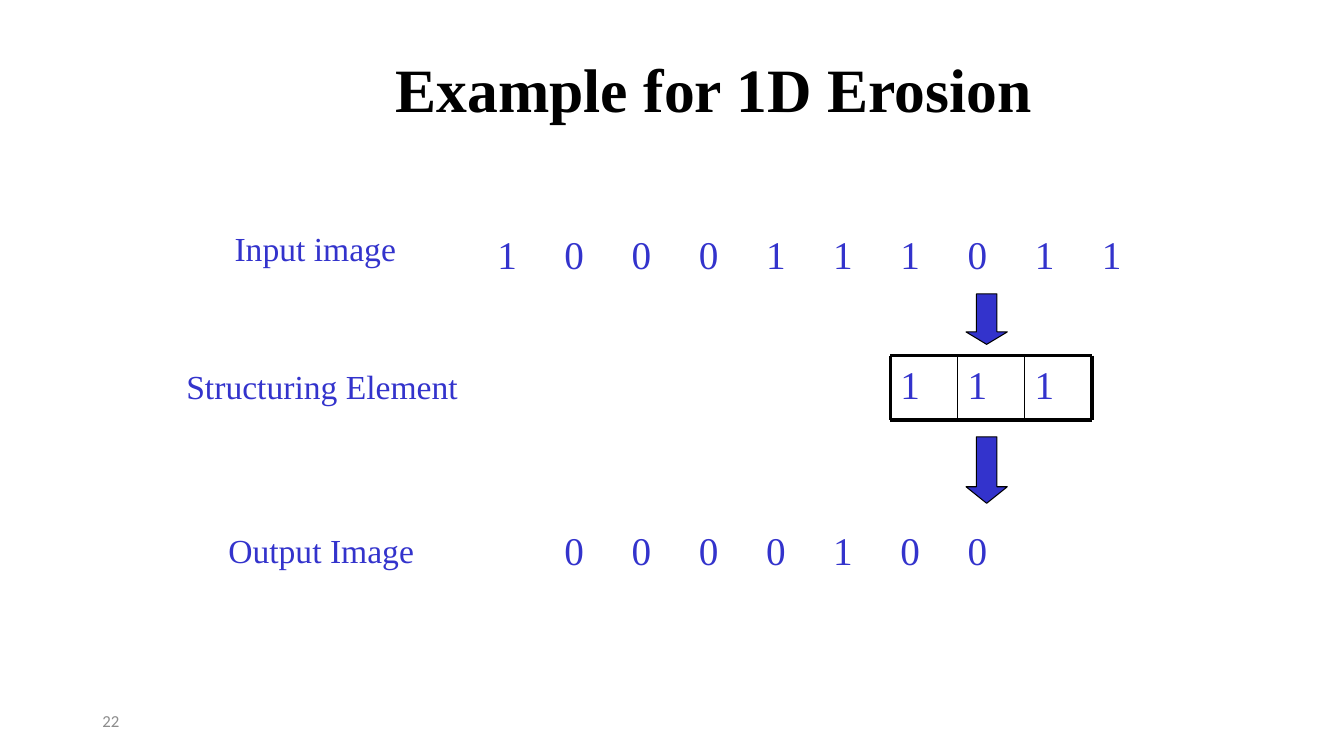
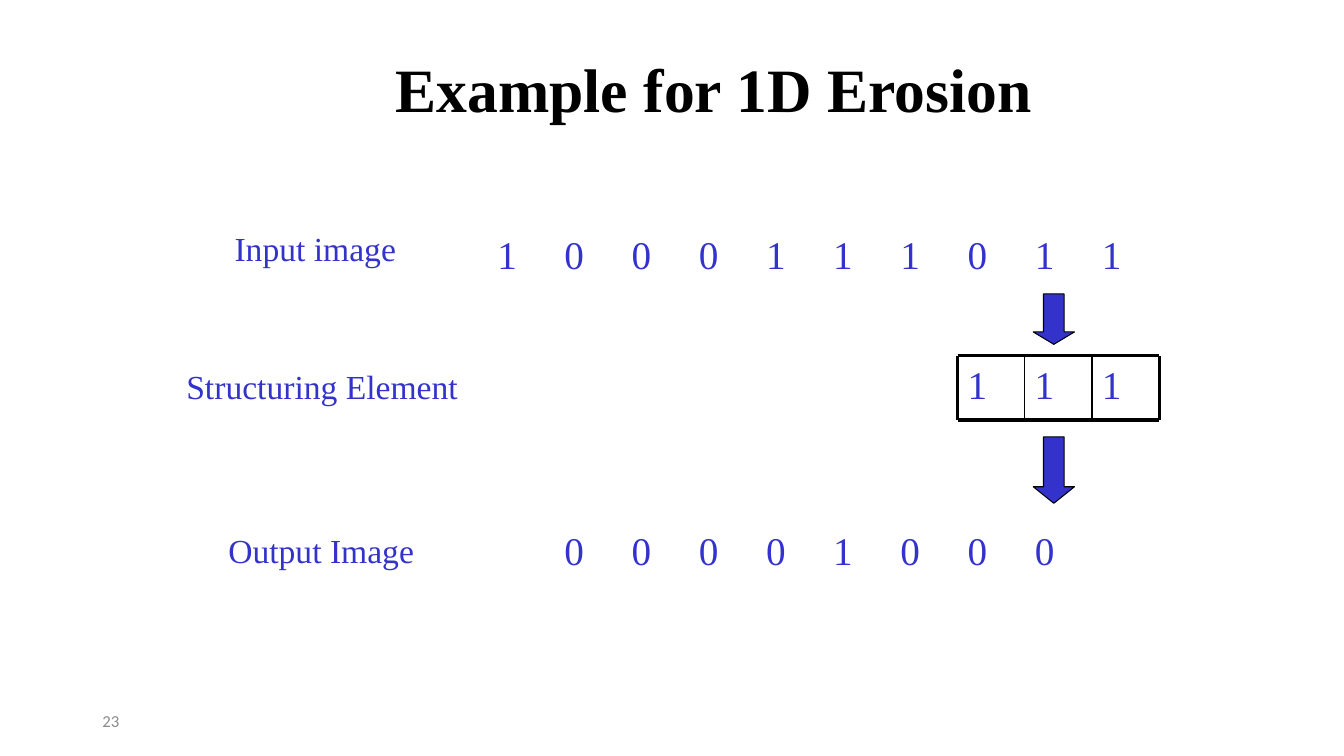
import dataclasses
import typing

import lxml.etree
import pptx
import pptx.dml.color
import pptx.enum.shapes
import pptx.enum.text
import pptx.oxml.ns
import pptx.util

Pt = pptx.util.Pt

COLORS = {
    "ink": "3333CC",
    "black": "000000",
    "white": "FFFFFF",
    "number": "8C8C8C",
}
SERIF = "Times New Roman"
SANS = "Calibri"

INPUT_SIGNAL = "1000111011"
ELEMENT = "111"

CELL_WIDTH = 48
GRID_LEFT = 348
ROW_HEIGHT = 42
INPUT_TOP = 162
OUTPUT_TOP = 373
WINDOW_TOP = 254
WINDOW_HEIGHT = 46
ARROW_WIDTH = 29.5
ARROW_OFFSET = 54


@dataclasses.dataclass(frozen=True)
class Label:
    text: str
    left: float
    top: float
    width: float


@dataclasses.dataclass(frozen=True)
class Arrow:
    top: float
    height: float
    head: float


@dataclasses.dataclass(frozen=True)
class ErosionStep:
    number: int
    window_column: int


LABELS = [
    Label("Input image", 160.5, 159, 129.5),
    Label("Structuring Element", 126, 258, 209),
    Label("Output Image", 156, 375, 147),
]
ARROWS = [Arrow(312, 47.5, 0.4), Arrow(210, 36, 0.3)]
STEPS = [ErosionStep(22, 6), ErosionStep(23, 7)]


def color(name: str) -> pptx.dml.color.RGBColor:
    return pptx.dml.color.RGBColor.from_string(COLORS[name])


def format_text(text_frame: typing.Any, size: float, color_name: str = "ink",
                font_name: str = SERIF, bold: bool = False) -> None:
    for paragraph in text_frame.paragraphs:
        for run in paragraph.runs:
            run.font.name = font_name
            run.font.size = Pt(size)
            run.font.bold = bold
            run.font.color.rgb = color(color_name)


def add_text(shapes: typing.Any, text: str, left: float, top: float,
             width: float, height: float) -> typing.Any:
    text_frame = shapes.add_textbox(Pt(left), Pt(top), Pt(width), Pt(height)).text_frame
    text_frame.word_wrap = True
    text_frame.text = text
    return text_frame


def add_filled_shape(shapes: typing.Any, kind: typing.Any, left: float, top: float,
                     width: float, height: float, fill: str, line: str) -> typing.Any:
    shape = shapes.add_shape(kind, Pt(left), Pt(top), Pt(width), Pt(height))
    shape.shadow.inherit = False
    shape.fill.solid()
    shape.fill.fore_color.rgb = color(fill)
    shape.line.color.rgb = color(line)
    shape.line.width = Pt(0.75)
    return shape


def add_line(shapes: typing.Any, x1: float, y1: float, x2: float, y2: float,
             width: float) -> None:
    connector = shapes.add_connector(
        pptx.enum.shapes.MSO_CONNECTOR.STRAIGHT, Pt(x1), Pt(y1), Pt(x2), Pt(y2))
    connector.line.color.rgb = color("black")
    connector.line.width = Pt(width)
    lxml.etree.SubElement(connector._element.spPr, pptx.oxml.ns.qn("a:effectLst"))


def add_frame(slide: typing.Any, number: int) -> None:
    """Add the title, slide number and footer band that every slide has."""
    title = slide.shapes.title
    title.left, title.top, title.width, title.height = Pt(204), Pt(18), Pt(612), Pt(90)
    title.text_frame.text = "Example for 1D Erosion"
    title.text_frame.vertical_anchor = pptx.enum.text.MSO_ANCHOR.MIDDLE
    title.text_frame.paragraphs[0].alignment = pptx.enum.text.PP_ALIGN.CENTER
    format_text(title.text_frame, 44, "black", bold=True)

    number_frame = add_text(slide.shapes, str(number), 66, 500.5, 216, 28.75)
    number_frame.vertical_anchor = pptx.enum.text.MSO_ANCHOR.MIDDLE
    format_text(number_frame, 12, "number", SANS)

    add_filled_shape(slide.shapes, pptx.enum.shapes.MSO_SHAPE.RECTANGLE,
                     120, 516, 720, 24, "white", "white")


def add_label(slide: typing.Any, label: Label) -> None:
    text_frame = add_text(slide.shapes, label.text, label.left, label.top, label.width, 36)
    text_frame.word_wrap = False
    text_frame.auto_size = pptx.enum.text.MSO_AUTO_SIZE.SHAPE_TO_FIT_TEXT
    format_text(text_frame, 24)


def add_signal(slide: typing.Any, values: dict[int, str], top: float) -> None:
    """Add a one-row table with values keyed by column."""
    columns = len(INPUT_SIGNAL)
    table = slide.shapes.add_table(
        1, columns, Pt(GRID_LEFT), Pt(top), Pt(columns * CELL_WIDTH), Pt(ROW_HEIGHT)).table
    table.first_row = False
    table.horz_banding = False
    for column in range(columns):
        table.columns[column].width = Pt(CELL_WIDTH)
        cell = table.cell(0, column)
        cell.fill.background()
        if column not in values:
            continue
        cell.margin_top = Pt(9.4)
        cell.text_frame.text = values[column]
        paragraph = cell.text_frame.paragraphs[0]
        paragraph.line_spacing = 0.86
        paragraph.space_before = Pt(7)
        format_text(cell.text_frame, 28)


def erode(last_column: int) -> dict[int, str]:
    """Return the eroded values up to last_column, keyed by the window's centre."""
    size = len(ELEMENT)
    return {
        column: "1" if INPUT_SIGNAL[column - size // 2:][:size] == ELEMENT else "0"
        for column in range(size // 2, last_column + 1)
    }


def add_structuring_element(slide: typing.Any, left: float) -> None:
    shapes = slide.shapes.add_group_shape().shapes
    bottom = WINDOW_TOP + WINDOW_HEIGHT
    right = left + len(ELEMENT) * CELL_WIDTH
    for index, value in enumerate(ELEMENT):
        text_frame = add_text(shapes, value, left + index * CELL_WIDTH, WINDOW_TOP,
                              CELL_WIDTH, WINDOW_HEIGHT)
        text_frame.paragraphs[0].space_before = Pt(7)
        format_text(text_frame, 28)
    for y in (WINDOW_TOP, bottom):
        add_line(shapes, left, y, right, y, 2.25)
    for index in range(len(ELEMENT) + 1):
        x = left + index * CELL_WIDTH
        add_line(shapes, x, WINDOW_TOP, x, bottom, 2.25 if x in (left, right) else 1)
    for arrow in ARROWS:
        shape = add_filled_shape(shapes, pptx.enum.shapes.MSO_SHAPE.DOWN_ARROW,
                                 left + ARROW_OFFSET, arrow.top, ARROW_WIDTH, arrow.height,
                                 "ink", "black")
        shape.adjustments[0] = 0.5
        shape.adjustments[1] = arrow.head


def add_step(presentation: typing.Any, step: ErosionStep) -> None:
    slide = presentation.slides.add_slide(presentation.slide_layouts.get_by_name("Title Only"))
    add_frame(slide, step.number)
    add_signal(slide, dict(enumerate(INPUT_SIGNAL)), INPUT_TOP)
    add_signal(slide, erode(step.window_column + len(ELEMENT) // 2), OUTPUT_TOP)
    for label in LABELS:
        add_label(slide, label)
    add_structuring_element(slide, GRID_LEFT + step.window_column * CELL_WIDTH)


def main() -> None:
    presentation = pptx.Presentation()
    presentation.slide_width = Pt(960)
    presentation.slide_height = Pt(540)
    for step in STEPS:
        add_step(presentation, step)
    presentation.save("out.pptx")


if __name__ == "__main__":
    main()
